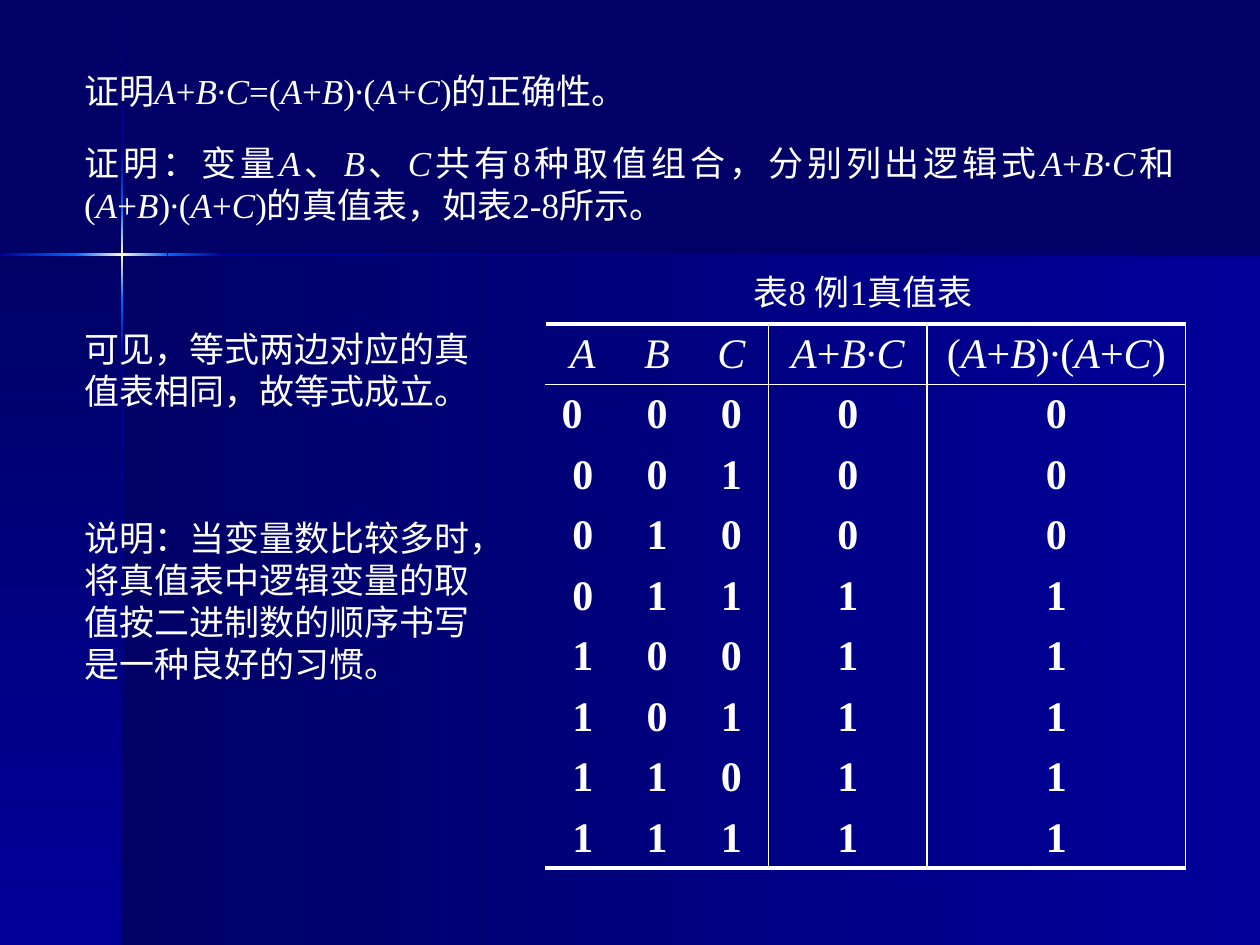
"""Build a slide that proves a Boolean identity with a truth table."""
import copy
import itertools

import pptx
import pptx.dml.color
import pptx.enum.shapes
import pptx.enum.text
import pptx.oxml
import pptx.oxml.ns
import pptx.util

Inches = pptx.util.Inches
Pt = pptx.util.Pt
RGBColor = pptx.dml.color.RGBColor
PP_ALIGN = pptx.enum.text.PP_ALIGN
qn = pptx.oxml.ns.qn

NAVY = RGBColor(0x00, 0x00, 0x66)
BLUE = RGBColor(0x00, 0x00, 0x99)
GLOW = RGBColor(0x00, 0x66, 0xFF)
CREAM = RGBColor(0xFF, 0xFF, 0xCC)
WHITE = RGBColor(0xFF, 0xFF, 0xFF)

SERIF = "Times New Roman"
COMIC = "Comic Neue"
VARIABLES = "ABC"
LEFT_SIDE = "A+B∙C"
RIGHT_SIDE = "(A+B)∙(A+C)"
RIGHT, DOWN = 0, 90

PANELS = [
    ((0.97, 2.02, 9.03, 5.48), RIGHT, (NAVY, BLUE)),
    ((0, 2.02, 0.97, 5.48), DOWN, (NAVY, BLUE)),
]
VERTICAL_BEAM = [
    (0.01, 1.21, (NAVY, BLUE)),
    (1.21, 1.65, (BLUE, GLOW)),
    (1.65, 2.38, (GLOW, CREAM, GLOW)),
    (2.38, 2.82, (GLOW, BLUE)),
    (2.82, 7.5, (BLUE, NAVY)),
]
HORIZONTAL_BEAM = [
    (0, 0.6, (BLUE, GLOW)),
    (0.6, 1.33, (GLOW, CREAM, GLOW)),
    (1.33, 1.77, (GLOW, BLUE)),
    (1.77, 10, (BLUE, NAVY)),
]
TEXTS = [
    ((0.57, 0.5, 8.85, 0.44), PP_ALIGN.JUSTIFY,
     [(f"证明{LEFT_SIDE}={RIGHT_SIDE}的正确性。", SERIF)]),
    ((0.57, 1.07, 8.85, 0.77), PP_ALIGN.JUSTIFY,
     [("证明：", COMIC),
      (f"变量A、B、C共有8种取值组合，分别列出逻辑式{LEFT_SIDE}和"
       f"{RIGHT_SIDE}的真值表，如表2-8所示。", SERIF)]),
    ((5.14, 2.1, 3.42, 0.44), PP_ALIGN.CENTER, [("表8 例1真值表", SERIF)]),
    ((0.57, 2.55, 3.51, 0.77), PP_ALIGN.LEFT,
     [("可见，等式两边对应的真值表相同，故等式成立。", SERIF)]),
    ((0.57, 4.05, 3.49, 1.45), PP_ALIGN.LEFT,
     [("说明：当变量数比较多时，将真值表中逻辑变量的取值按二进制数的顺序"
       "书写是一种良好的习惯。", COMIC)]),
]
COLUMN_WIDTHS = [0.59, 0.59, 0.59, 1.26, 2.05]
ROW_HEIGHT = 0.48
COLUMN_LINES = {0: (NAVY, 1), 3: (WHITE, 1), 4: (WHITE, 1), 5: (WHITE, 1)}
ROW_LINES = {0: (WHITE, 2.25), 1: (WHITE, 1), 9: (WHITE, 2.25)}


def apply_format(target, values):
    """Set each named attribute of the target."""
    for name, value in values.items():
        setattr(target, name, value)


def add_gradient(page, place, angle, colors):
    """Add a borderless rectangle with evenly spaced gradient colours."""
    box = page.shapes.add_shape(
        pptx.enum.shapes.MSO_SHAPE.RECTANGLE, *map(Inches, place))
    box.shadow.inherit = False
    box.line.fill.background()
    box.fill.gradient()
    box.fill.gradient_angle = 360 - angle
    stop_list = box._element.spPr.find(qn("a:gradFill")).find(qn("a:gsLst"))
    for _ in colors[2:]:
        stop_list.insert(1, copy.deepcopy(stop_list[0]))
    for index, (stop, color) in enumerate(zip(box.fill.gradient_stops, colors)):
        stop.position = index / (len(colors) - 1)
        stop.color.rgb = color


def add_background(page):
    """Draw the panels and the two crossing beams of light."""
    page.background.fill.solid()
    page.background.fill.fore_color.rgb = NAVY
    for place, angle, colors in PANELS:
        add_gradient(page, place, angle, colors)
    for start, end, colors in VERTICAL_BEAM:
        add_gradient(page, (0.96, start, 0.02, end - start), DOWN, colors)
    for start, end, colors in HORIZONTAL_BEAM:
        add_gradient(page, (start, 2.01, end - start, 0.02), RIGHT, colors)


def write_spans(para, text, values):
    """Write text with the variable letters in italics."""
    for italic, letters in itertools.groupby(text, lambda sign: sign in VARIABLES):
        span = para.add_run()
        span.text = "".join(letters)
        apply_format(span.font, {**values, "italic": italic})
        span.font.color.rgb = WHITE


def add_text(page, place, alignment, parts):
    """Add a wrapped text box holding one paragraph."""
    frame = page.shapes.add_textbox(*map(Inches, place)).text_frame
    apply_format(frame, {
        "word_wrap": True,
        "auto_size": pptx.enum.text.MSO_AUTO_SIZE.SHAPE_TO_FIT_TEXT,
    })
    para = frame.paragraphs[0]
    para.alignment = alignment
    for text, font_name in parts:
        write_spans(para, text, {"name": font_name, "size": Pt(20)})


def set_borders(cell, lines):
    """Draw the left, right, top and bottom cell borders."""
    properties = cell._tc.get_or_add_tcPr()
    for index, (side, line) in enumerate(zip("LRTB", lines)):
        color, width = line or (None, 0)
        fill = (f'<a:solidFill><a:srgbClr val="{color}"/></a:solidFill>'
                if line else "<a:noFill/>")
        properties.insert(index, pptx.oxml.parse_xml(
            f'<a:ln{side} {pptx.oxml.ns.nsdecls("a")} w="{Pt(width)}">'
            f'{fill}</a:ln{side}>'))


def add_truth_table(page):
    """Add the truth table, with its values worked out."""
    rows = [[*VARIABLES, LEFT_SIDE, RIGHT_SIDE]]
    for a, b, c in itertools.product((0, 1), repeat=3):
        rows.append([a, b, c, a | b & c, (a | b) & (a | c)])
    table = page.shapes.add_table(
        len(rows), len(COLUMN_WIDTHS), Inches(4.33), Inches(2.57),
        Inches(sum(COLUMN_WIDTHS)), Inches(ROW_HEIGHT * len(rows))).table
    apply_format(table, {"first_row": False, "horz_banding": False})
    for column, width in zip(table.columns, COLUMN_WIDTHS):
        column.width = Inches(width)
    for r, values in enumerate(rows):
        table.rows[r].height = Inches(ROW_HEIGHT)
        for c, value in enumerate(values):
            cell = table.cell(r, c)
            apply_format(cell, {
                "vertical_anchor": pptx.enum.text.MSO_ANCHOR.MIDDLE,
                "margin_left": Inches(0.1),
                "margin_right": Inches(0.27 if (r, c) == (1, 0) else 0.1),
                "margin_top": Inches(0.04),
                "margin_bottom": Inches(0.04),
            })
            cell.fill.background()
            set_borders(cell, (COLUMN_LINES.get(c), COLUMN_LINES.get(c + 1),
                               ROW_LINES.get(r), ROW_LINES.get(r + 1)))
            para = cell.text_frame.paragraphs[0]
            para.alignment = PP_ALIGN.CENTER
            write_spans(para, str(value),
                        {"name": SERIF, "size": Pt(24), "bold": r > 0})


def main():
    """Build and save the deck."""
    deck = pptx.Presentation()
    apply_format(deck, {"slide_width": Inches(10), "slide_height": Inches(7.5)})
    page = deck.slides.add_slide(deck.slide_layouts.get_by_name("Blank"))
    add_background(page)
    for place, alignment, parts in TEXTS[:2]:
        add_text(page, place, alignment, parts)
    add_truth_table(page)
    for place, alignment, parts in TEXTS[2:]:
        add_text(page, place, alignment, parts)
    deck.save("out.pptx")


if __name__ == "__main__":
    main()
